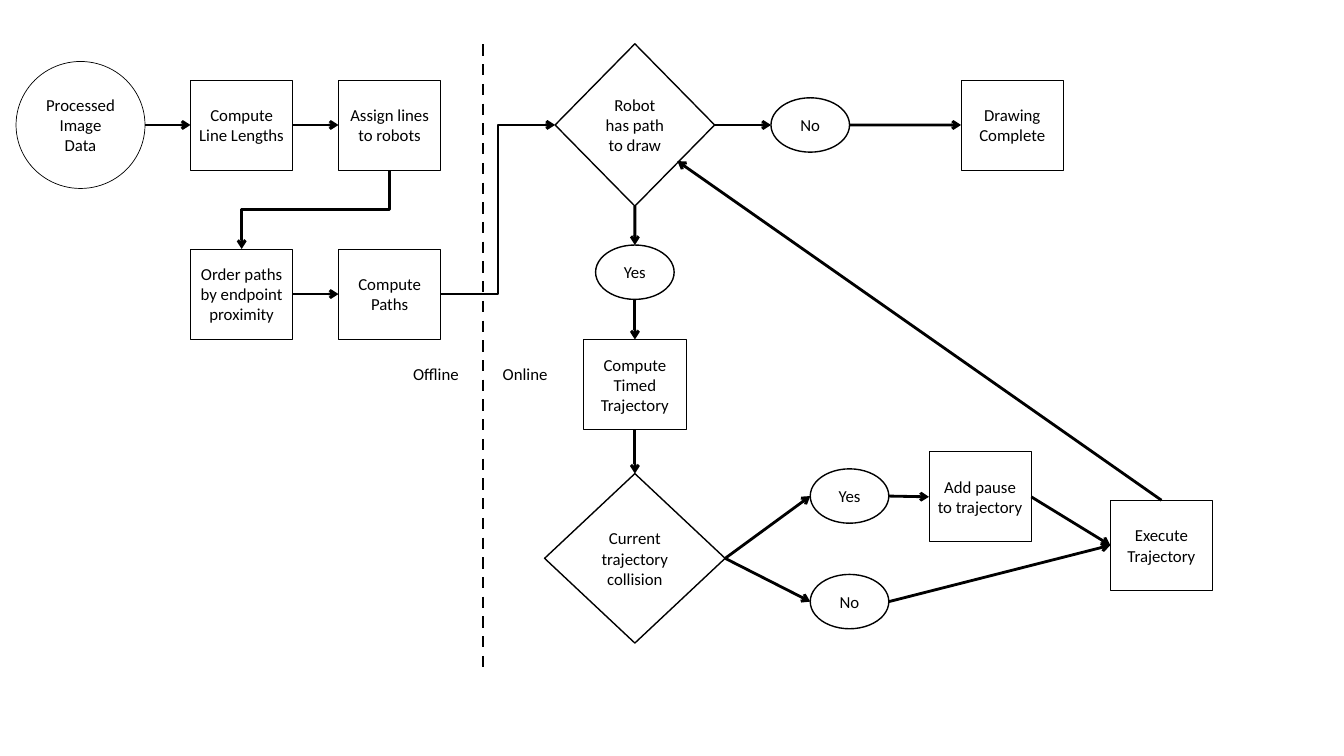
"""Flowchart of offline path planning and online robot drawing."""
from lxml import etree
from pptx import Presentation
from pptx.dml.color import RGBColor
from pptx.enum.dml import MSO_LINE
from pptx.enum.shapes import MSO_CONNECTOR, MSO_SHAPE
from pptx.enum.text import MSO_ANCHOR, PP_ALIGN
from pptx.oxml.ns import qn
from pptx.util import Cm, Pt

BLACK = RGBColor(0x00, 0x00, 0x00)
RECT, OVAL, DIAMOND = MSO_SHAPE.RECTANGLE, MSO_SHAPE.OVAL, MSO_SHAPE.DIAMOND
STRAIGHT, ELBOW = MSO_CONNECTOR.STRAIGHT, MSO_CONNECTOR.ELBOW
DASH = MSO_LINE.DASH
MIDDLE, CENTER = MSO_ANCHOR.MIDDLE, PP_ALIGN.CENTER

# Side of a shape: horizontal and vertical factor from its left top corner
SIDES = {"top": (0.5, 0), "left": (0, 0.5), "bottom": (0.5, 1), "right": (1, 0.5)}


class Flowchart:
    """Holds the style and the slide that is drawn on."""

    font, size = "Calibri", Pt(12)
    thin, medium, thick = Pt(0.5), Pt(1), Pt(2)
    inset = Cm(0.22)

    def __init__(self, slide):
        """Start drawing on the given slide."""
        self.shapes = slide.shapes

    def set_words(self, frame, words):
        """Put words into a text frame in the slide's type."""
        frame.text = words
        font = frame.paragraphs[0].runs[0].font
        font.name, font.size, font.color.rgb = self.font, self.size, BLACK

    def node(self, words, kind, x, y, width, height, weight):
        """Add an outlined shape centred on x, y."""
        node = self.shapes.add_shape(kind, Cm(x - width / 2), Cm(y - height / 2),
                                     Cm(width), Cm(height))
        node.shadow.inherit = False
        node.fill.background()
        node.line.color.rgb, node.line.width = BLACK, weight
        frame = node.text_frame
        self.set_words(frame, words)
        frame.word_wrap, frame.vertical_anchor = True, MIDDLE
        frame.margin_left = frame.margin_right = self.inset
        frame.paragraphs[0].alignment = CENTER
        return node

    def step(self, words, x, y):
        """Add a process box."""
        return self.node(words, RECT, x, y, 2.58, 2.27, self.thin)

    def answer(self, words, x, y):
        """Add a small yes or no oval."""
        return self.node(words, OVAL, x, y, 1.98, 1.37, self.medium)

    def decision(self, words, x, y, width, height):
        """Add a decision diamond."""
        return self.node(words, DIAMOND, x, y, width, height, self.medium)

    def label(self, words, x, y, width):
        """Add a one-line caption."""
        box = self.shapes.add_textbox(Cm(x), Cm(y), Cm(width), Cm(0.77))
        self.set_words(box.text_frame, words)
        box.text_frame.word_wrap = False

    def line(self, start, end, kind=STRAIGHT):
        """Add a thick line between two points."""
        line = self.shapes.add_connector(kind, *start, *end)
        line.line.color.rgb, line.line.width = BLACK, self.thick
        etree.SubElement(line._element.spPr, qn("a:effectLst"))
        return line

    def divider(self, x, top, bottom):
        """Add a dashed vertical line."""
        self.line((Cm(x), Cm(top)), (Cm(x), Cm(bottom))).line.dash_style = DASH

    def arrow(self, source, leave, target, enter, kind=STRAIGHT, tip=None):
        """Join two nodes; a tip ends the arrow at a free point instead."""
        start, end = side_point(source, leave), tip or side_point(target, enter)
        arrow = self.line(start, end, kind)
        outline = arrow._element.spPr.find(qn("a:ln"))
        etree.SubElement(outline, qn("a:tailEnd"), type="arrow")
        glue(arrow, "a:stCxn", source, leave)
        if not tip:
            glue(arrow, "a:endCxn", target, enter)
        if kind == ELBOW and leave == "bottom":
            turn_down(arrow, start, end)


def side_point(node, side):
    """Return the middle of one side of a node."""
    across, down = SIDES[side]
    return (int(node.left + across * node.width), int(node.top + down * node.height))


def glue(arrow, tag, node, side):
    """Attach one end of an arrow; an oval has twice as many sites."""
    site = list(SIDES).index(side) * (2 if node.auto_shape_type == OVAL else 1)
    etree.SubElement(arrow._element.nvCxnSpPr.cNvCxnSpPr, qn(tag),
                     id=str(node.shape_id), idx=str(site))


def turn_down(arrow, start, end):
    """Rotate an elbow so that it runs down, then left, then down."""
    across, down = start[0] - end[0], end[1] - start[1]
    arrow.width, arrow.height = down, across
    arrow.left = (start[0] + end[0] - down) // 2
    arrow.top = (start[1] + end[1] - across) // 2
    frame = arrow._element.spPr.find(qn("a:xfrm"))
    frame.attrib.pop("flipH", None)
    frame.set("rot", str(90 * 60000))


def main():
    """Build and save the slide."""
    deck = Presentation()
    deck.slide_width, deck.slide_height = Cm(33.87), Cm(19.05)
    chart = Flowchart(deck.slides.add_slide(deck.slide_layouts[6]))

    first_row, second_row = 3.15, 7.41
    left_column, right_column, online_column, check_column = 6.09, 9.82, 16, 21.41

    data = chart.node("Processed Image Data", OVAL, 2.03, first_row, 3.25, 3.2, chart.thin)
    lengths = chart.step("Compute Line Lengths", left_column, first_row)
    assign = chart.step("Assign lines to robots", right_column, first_row)
    order = chart.step("Order paths by endpoint proximity", left_column, second_row)
    paths = chart.step("Compute Paths", right_column, second_row)

    has_path = chart.decision("Robot has path to draw", online_column, first_row, 4.02, 4.09)
    no_path = chart.answer("No", 20.42, first_row)
    complete = chart.step("Drawing Complete", 25.51, first_row)
    more = chart.answer("Yes", online_column, 6.86)
    timed = chart.step("Compute Timed Trajectory", online_column, 9.69)
    collision = chart.decision("Current trajectory collision", online_column, 14.07, 4.55, 4.27)
    collides = chart.answer("Yes", check_column, 12.5)
    clear = chart.answer("No", check_column, 15.16)
    pause = chart.step("Add pause to trajectory", 24.7, 12.52)
    execute = chart.step("Execute Trajectory", 29.27, 13.74)

    for source, target in [(data, lengths), (lengths, assign), (order, paths),
                           (has_path, no_path), (no_path, complete),
                           (collision, collides), (collision, clear),
                           (collides, pause), (pause, execute), (clear, execute)]:
        chart.arrow(source, "right", target, "left")
    for source, target in [(has_path, more), (more, timed), (timed, collision)]:
        chart.arrow(source, "bottom", target, "top")
    chart.arrow(assign, "bottom", order, "top", ELBOW)
    chart.arrow(paths, "right", has_path, "left", ELBOW)
    chart.arrow(execute, "top", has_path, "right", tip=(Cm(17.07), Cm(4.06)))

    chart.divider(12.17, 1.12, 17)
    chart.label("Offline", 10.16, 9.04, 1.68)
    chart.label("Online", 12.42, 9.04, 1.65)
    deck.save("out.pptx")


main()
